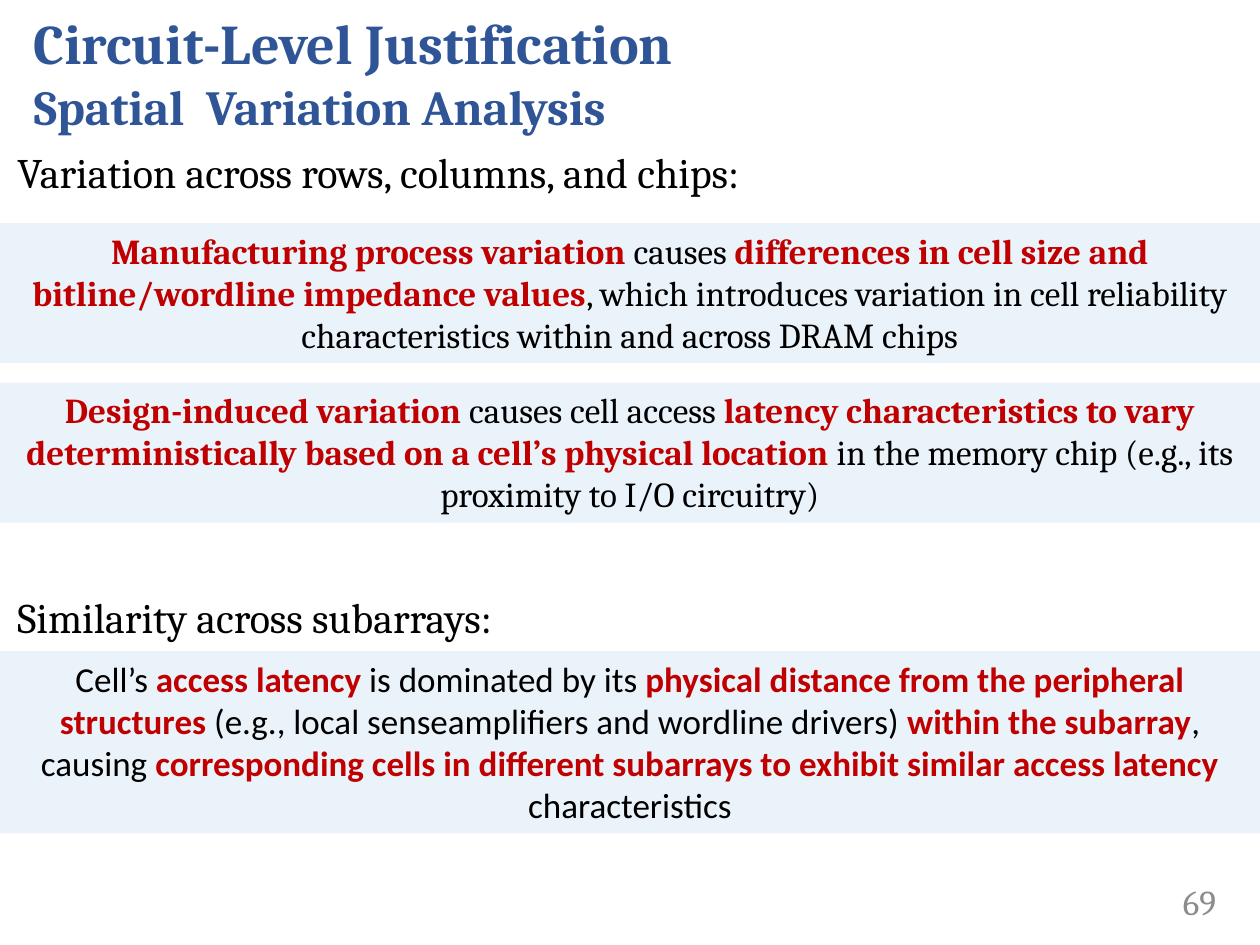
from dataclasses import dataclass

from lxml import etree
from pptx import Presentation
from pptx import util as u
from pptx.dml.color import RGBColor
from pptx.enum import shapes, text
from pptx.oxml.ns import qn


@dataclass(frozen=True)
class Theme:
    """Colours, fonts and type sizes of the slide."""
    title: str = "2F5597"
    body: str = "000000"
    accent: str = "C00000"
    band: str = "DEEBF7"
    number: str = "8C8C8C"
    serif: str = "Cambria"
    sans: str = "Calibri"
    title_size: int = 32
    subtitle_size: int = 28
    heading_size: int = 24
    text_size: int = 20
    band_opacity: int = 58


THEME = Theme()
WIDTH, HEIGHT = u.Inches(10), u.Inches(7.5)


def place(left, top, width, height):
    """Turn percentages of the slide into lengths."""
    return [u.Emu(round(share * side / 100))
            for share, side in zip((left, top, width, height), (WIDTH, HEIGHT) * 2)]


def add_run(paragraph, words, size, color, bold=False, font=THEME.serif):
    """Append one styled run."""
    run = paragraph.add_run()
    run.text = words
    run.font.size = u.Pt(size)
    run.font.name = font
    run.font.bold = bold
    run.font.color.rgb = RGBColor.from_string(color)


def add_text_box(slide, area, anchor=text.MSO_ANCHOR.TOP, align=text.PP_ALIGN.LEFT):
    """Add a wrapping text box and return its first paragraph."""
    frame = slide.shapes.add_textbox(*place(*area)).text_frame
    frame.word_wrap = True
    frame.vertical_anchor = anchor
    paragraph = frame.paragraphs[0]
    paragraph.alignment = align
    return paragraph


def add_title(slide, title, subtitle):
    """Add the two-line title."""
    paragraph = add_text_box(slide, (1.7, 2, 98.3, 11.2), text.MSO_ANCHOR.MIDDLE)
    paragraph.space_after = u.Pt(6)
    add_run(paragraph, title, THEME.title_size, THEME.title, True)
    paragraph.add_line_break()
    add_run(paragraph, subtitle, THEME.subtitle_size, THEME.title, True)


def add_heading(slide, top, words):
    """Add a section heading."""
    paragraph = add_text_box(slide, (0.4, top, 98.3, 5.7))
    paragraph.line_spacing = 0.9
    paragraph.space_after = u.Pt(6)
    add_run(paragraph, words, THEME.heading_size, THEME.body)


def add_band(slide, top, height, phrases, font=THEME.serif):
    """Add a full-width tinted band; phrases pair words with emphasis."""
    shape = slide.shapes.add_shape(shapes.MSO_SHAPE.RECTANGLE, *place(0, top, 100, height))
    shape.shadow.inherit = False
    shape.line.fill.background()
    shape.fill.solid()
    shape.fill.fore_color.rgb = RGBColor.from_string(THEME.band)
    color = shape.fill._xPr.find(qn("a:solidFill"))[0]
    etree.SubElement(color, qn("a:alpha")).set("val", str(THEME.band_opacity * 1000))
    frame = shape.text_frame
    frame.word_wrap = True
    frame.vertical_anchor = text.MSO_ANCHOR.TOP
    paragraph = frame.paragraphs[0]
    paragraph.alignment = text.PP_ALIGN.CENTER
    for words, strong in phrases:
        add_run(paragraph, words, THEME.text_size,
                THEME.accent if strong else THEME.body, strong, font)


def add_slide_number(slide, number):
    """Add the slide number at the lower right."""
    paragraph = add_text_box(slide, (86.7, 92.7, 10.8, 5.3),
                             text.MSO_ANCHOR.MIDDLE, text.PP_ALIGN.RIGHT)
    add_run(paragraph, number, THEME.text_size, THEME.number)


def main():
    """Build and save the slide."""
    presentation = Presentation()
    presentation.slide_width, presentation.slide_height = WIDTH, HEIGHT
    slide = presentation.slides.add_slide(presentation.slide_layouts[6])
    add_slide_number(slide, "69")
    add_title(slide, "Circuit-Level Justification ", "Spatial  Variation Analysis")
    add_heading(slide, 15.5, "Variation across rows, columns, and chips:")
    add_band(slide, 23.6, 14.8, [
        ("Manufacturing process variation", True),
        (" causes ", False),
        ("differences in cell size and bitline/wordline impedance values", True),
        (", which introduces variation in cell reliability characteristics "
         "within and across DRAM chips", False),
    ])
    add_band(slide, 40.5, 14.8, [
        ("Design-induced variation", True),
        (" causes cell access ", False),
        ("latency characteristics to vary deterministically "
         "based on a cell’s physical location", True),
        (" in the memory chip (e.g., its proximity to I/O circuitry)", False),
    ])
    add_heading(slide, 62.5, "Similarity across subarrays:")
    add_band(slide, 68.9, 19.3, [
        ("Cell’s ", False),
        ("access latency", True),
        (" is dominated by its ", False),
        ("physical distance from the peripheral structures", True),
        (" (e.g., local senseamplifiers and wordline drivers) ", False),
        ("within the subarray", True),
        (", causing ", False),
        ("corresponding cells in different subarrays "
         "to exhibit similar access latency", True),
        (" characteristics", False),
    ], THEME.sans)
    presentation.save("out.pptx")


if __name__ == "__main__":
    main()
